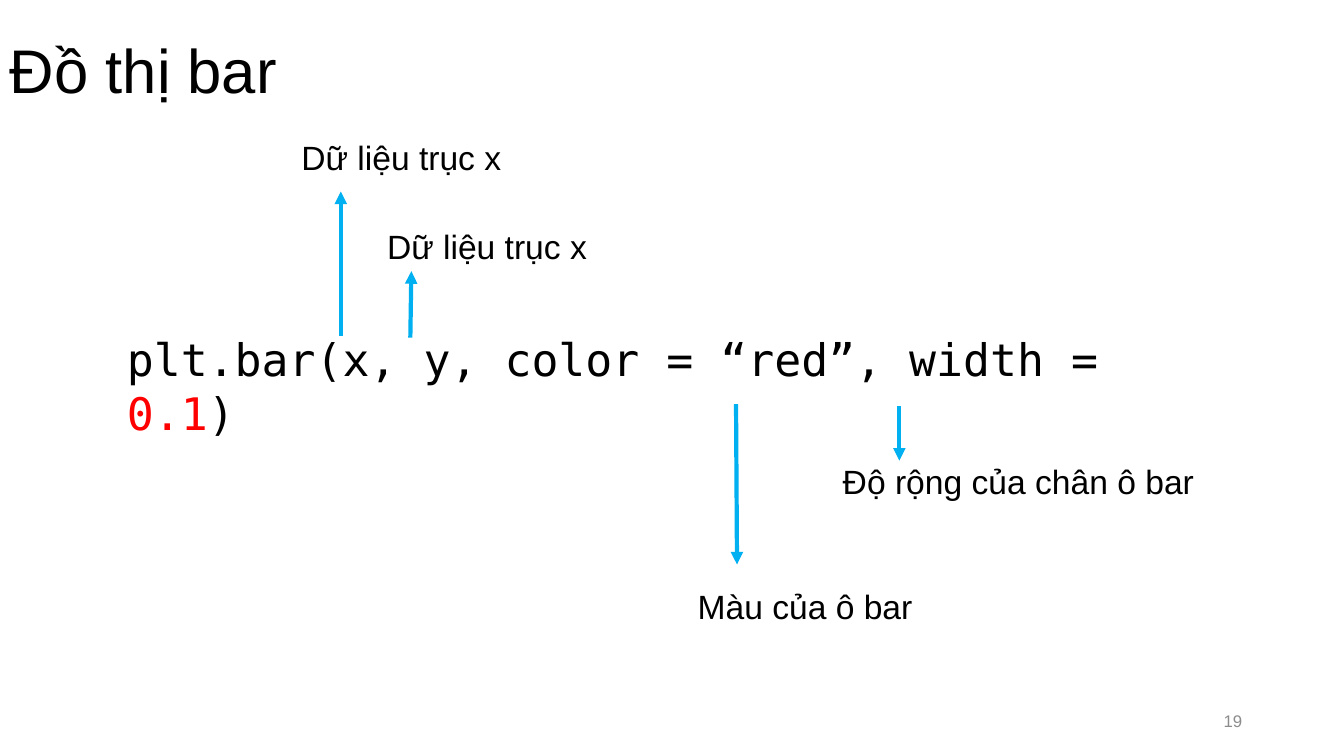
from dataclasses import dataclass

from lxml.etree import SubElement
from pptx import Presentation
from pptx.dml.color import RGBColor
from pptx.enum.shapes import MSO_CONNECTOR as Connector
from pptx.enum.text import MSO_ANCHOR as Anchor, PP_ALIGN as Align
from pptx.oxml.ns import qn
from pptx.util import Inches, Pt


@dataclass(frozen=True)
class Theme:
    text_font: str = "Arial"
    code_font: str = "DejaVu Sans Mono"
    black: str = "000000"
    red: str = "FF0000"
    gray: str = "8C8C8C"
    blue: str = "00B0F0"
    title_size: int = 44
    code_size: int = 32
    label_size: int = 24
    number_size: int = 12
    arrow_width: int = 3


class SlideBuilder:
    def __init__(self, slide, theme):
        self.slide = slide
        self.theme = theme

    def text(self, box, runs, size, font=None, color=None,
             anchor=Anchor.TOP, align=Align.LEFT, line_spacing=1.0):
        """Add a one-paragraph text box; runs are (text, color or None) pairs."""
        shape = self.slide.shapes.add_textbox(*map(Inches, box))
        frame = shape.text_frame
        frame.word_wrap = True
        frame.vertical_anchor = anchor
        paragraph = frame.paragraphs[0]
        paragraph.alignment = align
        paragraph.line_spacing = line_spacing
        paragraph.font.name = font or self.theme.text_font
        paragraph.font.size = Pt(size)
        paragraph.font.color.rgb = RGBColor.from_string(color or self.theme.black)
        for words, run_color in runs:
            run = paragraph.add_run()
            run.text = words
            if run_color:
                run.font.color.rgb = RGBColor.from_string(run_color)

    def title(self, words):
        self.text((0, 0, 13.33, 1.45), [(words, None)], self.theme.title_size,
                  anchor=Anchor.MIDDLE, line_spacing=0.9)

    def page_number(self, number):
        self.text((9.42, 6.95, 3, 0.4), [(number, None)], self.theme.number_size,
                  color=self.theme.gray, anchor=Anchor.MIDDLE, align=Align.RIGHT)

    def code(self, box, runs):
        self.text(box, runs, self.theme.code_size, font=self.theme.code_font)

    def label(self, left, top, words):
        self.text((left, top, 4.02, 0.5), [(words, None)], self.theme.label_size)

    def arrow(self, start, end):
        connector = self.slide.shapes.add_connector(
            Connector.STRAIGHT, *map(Inches, start + end))
        connector.line.color.rgb = RGBColor.from_string(self.theme.blue)
        connector.line.width = Pt(self.theme.arrow_width)
        properties = connector._element.spPr
        SubElement(properties.find(qn("a:ln")), qn("a:tailEnd"), type="triangle")
        SubElement(properties, qn("a:effectLst"))


def main():
    presentation = Presentation()
    presentation.slide_width = Inches(13.33)
    presentation.slide_height = Inches(7.5)
    slide = presentation.slides.add_slide(presentation.slide_layouts[6])
    theme = Theme()
    builder = SlideBuilder(slide, theme)

    # Title and page number
    builder.title("Đồ thị bar")
    builder.page_number("19")

    # Function call; a no-break space keeps the equals sign with its value
    builder.code((1.16, 3.24, 10.34, 0.64), [
        ("plt.bar(x, y, color = “red”, width = ", None),
        ("0.1", theme.red),
        (")", None),
    ])

    # Each argument: label position, label, arrow start and end
    arguments = [
        (2.89, 1.31, "Dữ liệu trục x", (3.38, 3.33), (3.38, 1.9)),
        (3.74, 2.19, "Dữ liệu trục x", (4.07, 3.35), (4.08, 2.69)),
        (6.82, 5.76, "Màu của ô bar", (7.3, 4.01), (7.31, 5.6)),
        (8.26, 4.52, "Độ rộng của chân ô bar", (8.92, 4.03), (8.92, 4.57)),
    ]
    for left, top, words, start, end in arguments:
        builder.label(left, top, words)
        builder.arrow(start, end)

    presentation.save("out.pptx")


if __name__ == "__main__":
    main()
